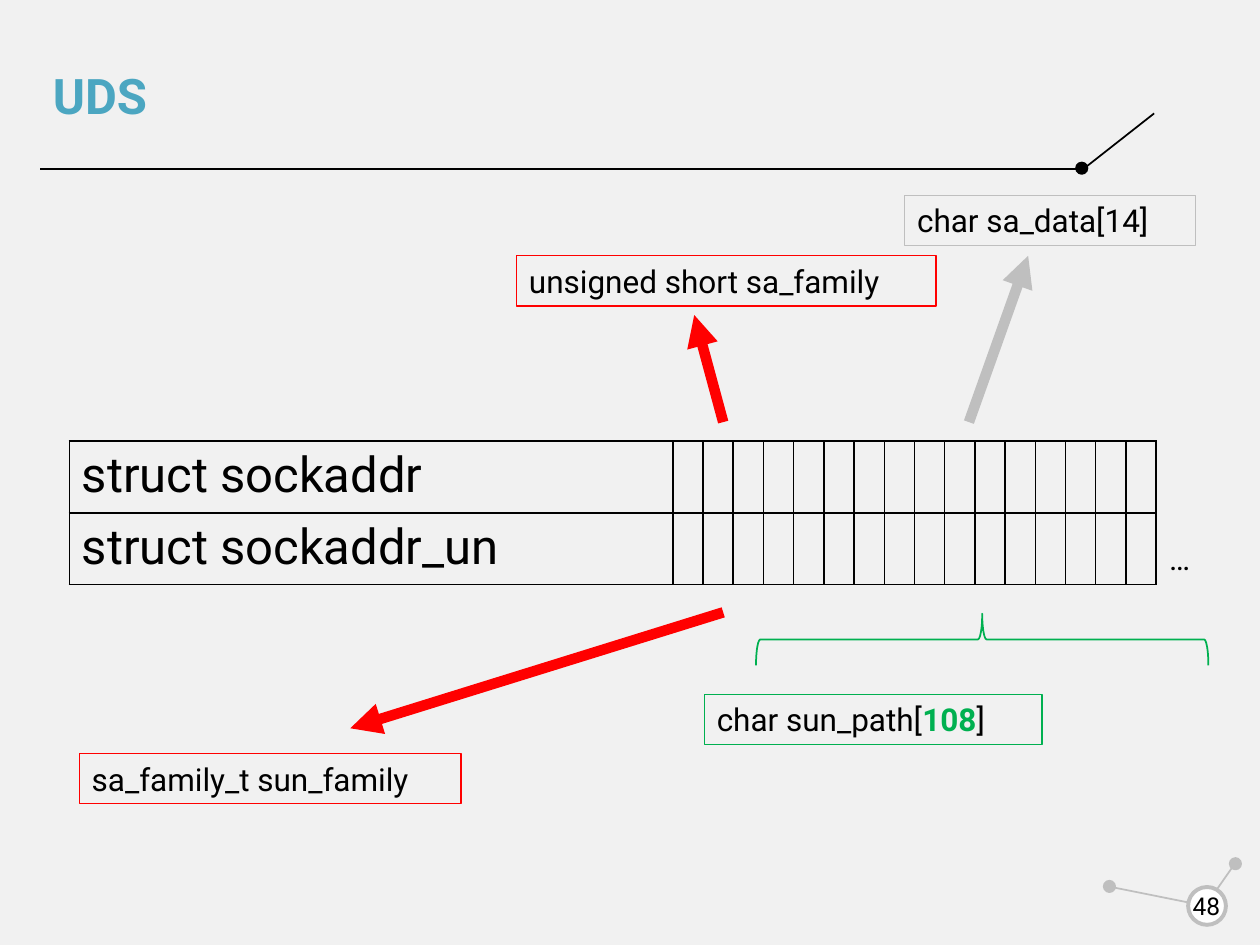
"""Builds a slide comparing the byte layout of sockaddr and sockaddr_un."""
from dataclasses import dataclass

from lxml import etree
from pptx import Presentation
from pptx.dml.color import RGBColor
from pptx.enum.shapes import MSO_CONNECTOR, MSO_SHAPE
from pptx.enum.text import MSO_ANCHOR, PP_ALIGN
from pptx.oxml.ns import qn
from pptx.util import Inches, Pt

STRAIGHT = MSO_CONNECTOR.STRAIGHT
RECTANGLE, OVAL, BRACE = MSO_SHAPE.RECTANGLE, MSO_SHAPE.OVAL, MSO_SHAPE.LEFT_BRACE
MIDDLE, TOP = MSO_ANCHOR.MIDDLE, MSO_ANCHOR.TOP
LEFT, CENTER = PP_ALIGN.LEFT, PP_ALIGN.CENTER


@dataclass(frozen=True)
class Theme:
    font: str = "Roboto"
    paper: str = "F1F1F1"
    white: str = "FFFFFF"
    ink: str = "000000"
    title: str = "4BA6C1"
    gray: str = "BFBFBF"
    red: str = "FF0000"
    green: str = "00B050"
    heading: int = 28
    body: int = 18
    number: int = 14
    hairline: float = 0.75
    thin: float = 1
    ring: float = 2.25
    thick: float = 6


THEME = Theme()
WIDTH, HEIGHT = 10, 7.5
STRUCTS = ["struct sockaddr", "struct sockaddr_un"]
BYTES = 16
TABLE_LEFT, TABLE_TOP = 0.55, 3.5
NAME_WIDTH, BYTE_WIDTH, ROW_HEIGHT = 4.79, 0.24, 0.57
LABEL_HEIGHT, DOT = 0.4, 0.09

LABELS = [
    (4.1, 2.03, 3.33, THEME.red, [("unsigned short sa_family", None)]),
    (7.18, 1.55, 2.31, THEME.gray, [("char sa_data[14]", None)]),
    (0.63, 5.98, 3.03, THEME.red, [("sa_family_t sun_family", None)]),
    (5.59, 5.51, 2.68, THEME.green,
     [("char sun_path[", None), ("108", THEME.green), ("]", None)]),
    (9.18, 4.23, 0.45, None, [("…", None)]),
]
ARROWS = [
    ((5.74, 3.35), (5.51, 2.5), THEME.red),
    ((7.69, 3.35), (8.16, 2.03), THEME.gray),
    ((5.74, 4.86), (2.78, 5.78), THEME.red),
]
RULES = [
    ((0.32, 1.34), (8.54, 1.34), THEME.ink),
    ((8.6, 1.34), (9.16, 0.9), THEME.ink),
    ((9.79, 6.87), (9.65, 7.07), THEME.gray),
    ((8.82, 7.04), (9.52, 7.18), THEME.gray),
]
DOTS = [(8.54, 1.29, THEME.ink), (9.76, 6.81, THEME.gray), (8.76, 6.99, THEME.gray)]


def color(value):
    return RGBColor.from_string(value)


def add_span(para, text, size, tint=THEME.ink, bold=False):
    span = para.add_run()
    span.text = text
    font = span.font
    font.name, font.size, font.bold = THEME.font, Pt(size), bold
    font.color.rgb = color(tint)


def set_frame(box, anchor, align=LEFT, side=0.1):
    frame = box.text_frame
    frame.word_wrap, frame.vertical_anchor = True, anchor
    frame.margin_left = frame.margin_right = Inches(side)
    frame.margin_top = frame.margin_bottom = Inches(0.05)
    para = frame.paragraphs[0]
    para.alignment = align
    return para


def add_shape(page, kind, area, fill=None, line=None, weight=THEME.thin):
    shape = page.shapes.add_shape(kind, *map(Inches, area))
    shape.shadow.inherit = False
    if fill:
        shape.fill.solid()
        shape.fill.fore_color.rgb = color(fill)
    else:
        shape.fill.background()
    if line:
        shape.line.color.rgb = color(line)
        shape.line.width = Pt(weight)
    else:
        shape.line.fill.background()
    return shape


def add_line(page, start, end, tint, weight=THEME.thin, arrow=False):
    line = page.shapes.add_connector(STRAIGHT, *map(Inches, start + end))
    line.line.color.rgb = color(tint)
    line.line.width = Pt(weight)
    if arrow:
        etree.SubElement(line.line._get_or_add_ln(), qn("a:tailEnd"), type="triangle")
    etree.SubElement(line._element.spPr, qn("a:effectLst"))


def style_cell(cell):
    properties = cell._tc.get_or_add_tcPr()
    for side in ("lnL", "lnR", "lnT", "lnB"):
        border = etree.SubElement(properties, qn(f"a:{side}"), w=str(Pt(THEME.thin)))
        fill = etree.SubElement(border, qn("a:solidFill"))
        etree.SubElement(fill, qn("a:srgbClr"), val=THEME.ink)
    cell.fill.background()


def add_struct_table(page):
    rows, columns = len(STRUCTS), BYTES + 1
    area = (TABLE_LEFT, TABLE_TOP, NAME_WIDTH + BYTES * BYTE_WIDTH, rows * ROW_HEIGHT)
    table = page.shapes.add_table(rows, columns, *map(Inches, area)).table
    table.first_row = table.horz_banding = False
    for index, column in enumerate(table.columns):
        column.width = Inches(BYTE_WIDTH if index else NAME_WIDTH)
    for cell in table.iter_cells():
        style_cell(cell)
    for index, name in enumerate(STRUCTS):
        para = table.cell(index, 0).text_frame.paragraphs[0]
        add_span(para, name, THEME.heading)


def add_title(page, text):
    title = page.shapes.title
    title.left, title.top, title.width, title.height = map(Inches, (0.32, 0.28, 8.22, 0.95))
    add_span(set_frame(title, MIDDLE), text, THEME.heading, THEME.title, True)


def add_page_number(page, number):
    add_shape(page, OVAL, (9.43, 7.04, 0.3, 0.3), THEME.white, THEME.gray, THEME.ring)
    box = page.shapes.add_textbox(*map(Inches, (9.37, 6.99, 0.41, 0.4)))
    add_span(set_frame(box, MIDDLE, CENTER, 0), number, THEME.number)


def main():
    deck = Presentation()
    deck.slide_width, deck.slide_height = Inches(WIDTH), Inches(HEIGHT)
    page = deck.slides.add_slide(deck.slide_layouts[5])
    page.background.fill.solid()
    page.background.fill.fore_color.rgb = color(THEME.paper)

    for start, end, tint in RULES:
        add_line(page, start, end, tint)
    for left, top, tint in DOTS:
        add_shape(page, OVAL, (left, top, DOT, DOT), tint, tint)
    add_title(page, "UDS")
    add_page_number(page, "48")
    add_struct_table(page)

    for start, end, tint in ARROWS:
        add_line(page, start, end, tint, THEME.thick, True)
    for left, top, width, tint, spans in LABELS:
        area = (left, top, width, LABEL_HEIGHT)
        box = add_shape(page, RECTANGLE, area, None, tint, THEME.hairline)
        para = set_frame(box, TOP)
        for text, accent in spans:
            add_span(para, text, THEME.body, accent or THEME.ink, bool(accent))
    brace = add_shape(page, BRACE, (7.59, 3.28, 0.41, 3.59), None, THEME.green)
    brace.rotation = 90
    brace.adjustments[0] = 0.083
    deck.save("out.pptx")


if __name__ == "__main__":
    main()
